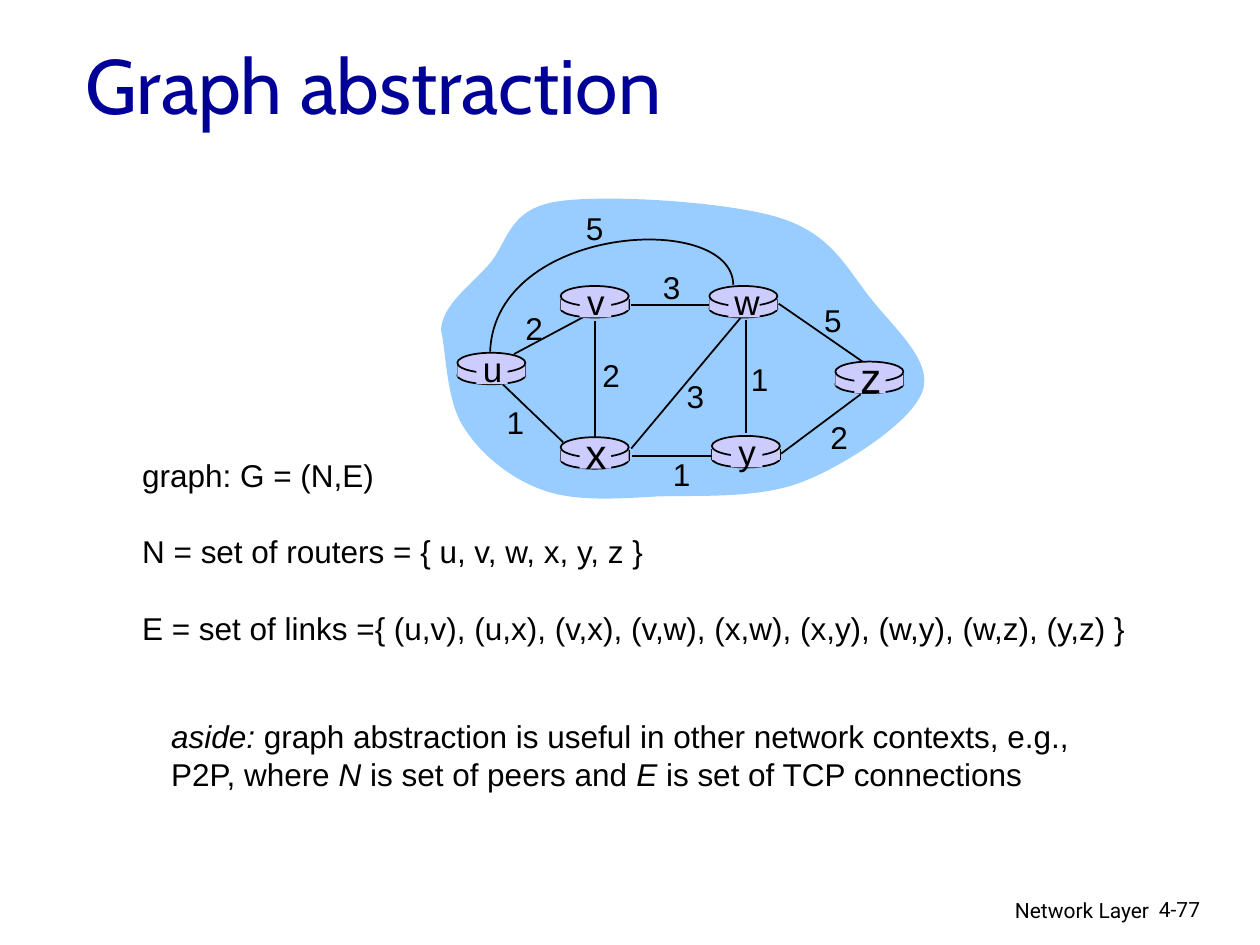
from lxml import etree
from pptx import Presentation
from pptx import util as u
from pptx.dml import color
from pptx.enum import shapes, text
from pptx.oxml import ns

BLACK, NAVY, LILAC, SKY = "000000", "000099", "CCCCFF", "99CCFF"

CLOUD = [
    (0, 1.08), (0.01, 0.88), (0.23, 0.73), (0.38, 0.56), (0.53, 0.39), (0.53, 0.12),
    (0.92, 0.06), (1.3, 0), (2.28, 0.06), (2.69, 0.19), (3.11, 0.32), (3.23, 0.61),
    (3.42, 0.84), (3.6, 1.07), (3.91, 1.33), (3.82, 1.57), (3.73, 1.81), (3.23, 2.14),
    (2.88, 2.28), (2.53, 2.42), (2.07, 2.39), (1.72, 2.4), (1.38, 2.42), (1.06, 2.44),
    (0.81, 2.35), (0.55, 2.26), (0.31, 2.06), (0.18, 1.85), (0.04, 1.64), (0.04, 1.24),
    (0, 1.08),
]
ROUTERS = [
    ("u", 20, 0.13, 1.26), ("v", 20, 0.95, 0.73), ("w", 20, 2.13, 0.73),
    ("x", 24, 0.95, 1.93), ("y", 20, 2.15, 1.92), ("z", 24, 3.13, 1.33),
]
LINKS = [
    ((0.58, 1.27), (1.18, 0.95)), ((2.42, 1), (2.42, 1.9)), ((1.22, 1.01), (1.22, 1.94)),
    ((1.51, 2.02), (2.38, 0.98)), ((2.7, 2.06), (3.33, 1.59)), ((2.15, 2.08), (1.52, 2.08)),
    ((0.97, 1.97), (0.49, 1.51)), ((2.14, 0.88), (1.51, 0.88)), ((3.36, 1.34), (2.68, 0.87)),
]
U_TO_W = [(2.32, 0.72), (2.31, 0.13), (0.43, 0.24), (0.39, 1.25)]
COSTS = [
    ("2", 0.57, 0.86), ("2", 1.18, 1.24), ("1", 0.42, 1.61), ("3", 1.85, 1.4),
    ("1", 1.74, 2.02), ("1", 2.36, 1.27), ("2", 2.99, 1.73), ("5", 2.94, 0.8),
    ("3", 1.66, 0.54), ("5", 1.05, 0.07),
]
DEFINITIONS = [
    [("graph: G = (N,E)", False)],
    [("N = set of routers = { u, v, w, x, y, z }", False)],
    [("E = set of links ={ (u,v), (u,x), (v,x), (v,w), (x,w), (x,y), (w,y), (w,z), (y,z) }", False)],
]
ASIDE = [
    [("aside:", True), (" graph abstraction is useful in other network contexts, e.g.,", False)],
    [("P2P, where ", False), ("N", True), (" is set of peers and ", False), ("E", True),
     (" is set of TCP connections", False)],
]


def rgb(value):
    """Return the colour for a hex string."""
    return color.RGBColor.from_string(value)


def style(shape, fill=None, line=None):
    """Set fill and outline of a shape, either of which may be absent."""
    shape.shadow.inherit = False
    if fill:
        shape.fill.solid()
        shape.fill.fore_color.rgb = rgb(fill)
    else:
        shape.fill.background()
    if line:
        shape.line.color.rgb = rgb(line)
        shape.line.width = u.Pt(1)
    else:
        shape.line.fill.background()


def set_font(paragraph, name, size, hue=BLACK):
    """Format a whole paragraph."""
    paragraph.font.name = name
    paragraph.font.size = u.Pt(size)
    paragraph.font.color.rgb = rgb(hue)


def add_text(slide, box, paragraphs, size=18, name="Arial",
             align=text.PP_ALIGN.LEFT, gap=0):
    """Place paragraphs made of (words, italic) runs in a box."""
    frame = slide.shapes.add_textbox(*map(u.Inches, box)).text_frame
    frame.word_wrap = False
    for index, runs in enumerate(paragraphs):
        paragraph = frame.paragraphs[0] if index == 0 else frame.add_paragraph()
        paragraph.alignment = align
        if index:
            paragraph.space_before = u.Pt(gap)
        set_font(paragraph, name, size)
        for words, italic in runs:
            run = paragraph.add_run()
            run.text = words
            if italic:
                run.font.italic = True


def add_curve(slide, left, top, points, closed=False):
    """Draw a chain of cubic curves through a start and triples of points."""
    start, *rest = [(u.Inches(left + x), u.Inches(top + y)) for x, y in points]
    builder = slide.shapes.build_freeform(*start)
    builder.add_line_segments(rest, close=closed)
    curve = builder.convert_to_shape()
    segments = curve.element.xpath(".//a:lnTo")
    for first in range(0, len(segments), 3):
        bezier = etree.Element(ns.qn("a:cubicBezTo"))
        segments[first].addprevious(bezier)
        for segment in segments[first:first + 3]:
            bezier.append(segment[0])
            segment.getparent().remove(segment)
    return curve


def add_line(slide, left, top, begin, end):
    """Draw a thin black line between two points of a box."""
    line = slide.shapes.add_connector(
        shapes.MSO_CONNECTOR.STRAIGHT,
        u.Inches(left + begin[0]), u.Inches(top + begin[1]),
        u.Inches(left + end[0]), u.Inches(top + end[1]))
    line.line.color.rgb = rgb(BLACK)
    line.line.width = u.Pt(1)
    etree.SubElement(line.element.spPr, ns.qn("a:effectLst"))


def add_router(slide, left, top, letter, size):
    """Draw a router drum with its letter."""
    def part(kind, x, y, width, height, line=None):
        """Add one lilac part of the drum."""
        shape = slide.shapes.add_shape(
            kind, *map(u.Inches, (left + x, top + y, width, height)))
        style(shape, LILAC, line)

    oval, rectangle = shapes.MSO_SHAPE.OVAL, shapes.MSO_SHAPE.RECTANGLE
    part(oval, 0, 0.11, 0.54, 0.14, BLACK)
    for side in (0, 0.54):
        add_line(slide, left, top, (side, 0.1), (side, 0.19))
    part(rectangle, 0, 0.1, 0.54, 0.09)
    part(oval, 0, 0, 0.54, 0.16, BLACK)
    part(rectangle, 0.15, 0.02, 0.25, 0.23)
    height = 0.5 if size == 24 else 0.43
    add_text(slide, (left + 0.1, top + 0.12 - height / 2, 0.36, height),
             [[(letter, False)]], size, align=text.PP_ALIGN.CENTER)


def add_network(slide, left, top):
    """Draw the cloud with its routers, links and link costs."""
    style(add_curve(slide, left, top, CLOUD, closed=True), SKY)
    for begin, end in LINKS:
        add_line(slide, left, top, begin, end)
    style(add_curve(slide, left, top, U_TO_W), line=BLACK)
    for letter, size, x, y in ROUTERS:
        add_router(slide, left + x, top + y, letter, size)
    for cost, x, y in COSTS:
        add_text(slide, (left + x, top + y, 0.34, 0.4), [[(cost, False)]],
                 align=text.PP_ALIGN.CENTER)


def add_title(slide, box):
    """Fill and place the title placeholder."""
    title = slide.shapes.title
    title.left, title.top, title.width, title.height = map(u.Inches, box)
    frame = title.text_frame
    frame.text = "Graph abstraction"
    frame.auto_size = text.MSO_AUTO_SIZE.NONE
    frame.vertical_anchor = text.MSO_ANCHOR.MIDDLE
    frame.paragraphs[0].alignment = text.PP_ALIGN.LEFT
    set_font(frame.paragraphs[0], "Cabin", 44, NAVY)


def add_footer(slide, left, top):
    """Place the chapter name and the page number."""
    add_text(slide, (left, top, 3.17, 0.31), [[("Network Layer", False)]], 12,
             "Roboto", text.PP_ALIGN.RIGHT)
    add_text(slide, (left + 3.05, top, 0.74, 0.3), [[("4-77", False)]], 12, "Roboto")


def main():
    """Build the slide and save it."""
    deck = Presentation()
    deck.slide_width, deck.slide_height = u.Inches(10), u.Inches(7.5)
    slide = deck.slides.add_slide(deck.slide_layouts[5])
    add_footer(slide, 6.05, 7.07)
    add_network(slide, 3.5, 1.54)
    add_text(slide, (1.03, 3.57, 8.09, 1.6), DEFINITIONS, gap=22)
    add_title(slide, (0.58, 0.23, 8.5, 0.87))
    add_text(slide, (1.26, 5.64, 7.4, 0.7), ASIDE)
    deck.save("out.pptx")


if __name__ == "__main__":
    main()
